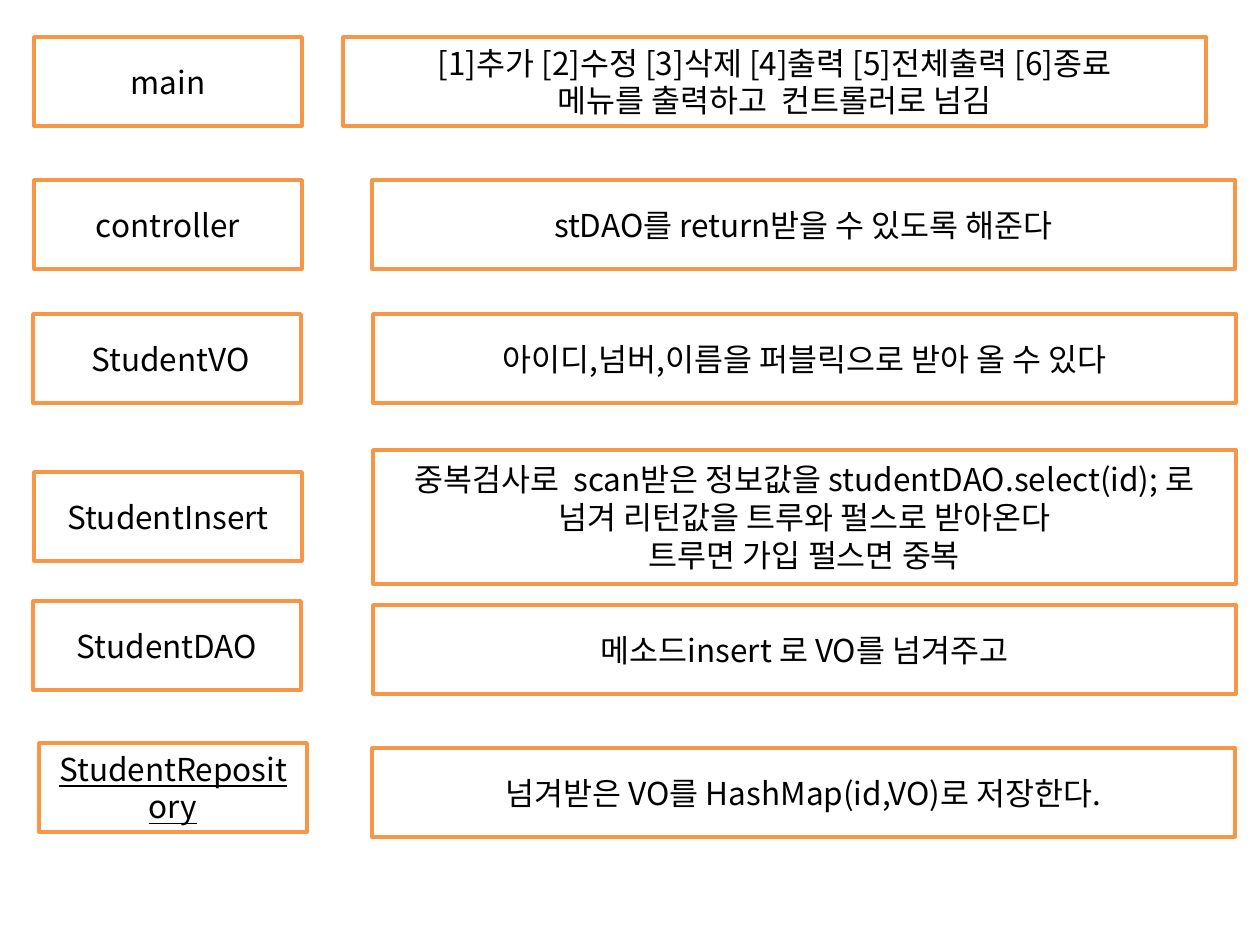
from lxml import etree
from pptx import Presentation
from pptx import util as u
from pptx.dml.color import RGBColor
from pptx.enum import shapes, text
from pptx.oxml import ns

ORANGE = RGBColor(0xF7, 0x96, 0x46)
WHITE = RGBColor(0xFF, 0xFF, 0xFF)
BLACK = RGBColor(0x00, 0x00, 0x00)
PX = u.Inches(1) / 126

NAME_W, NOTE_W, BOX_H = 268, 863, 89

# name, (left, top), underlined, description, (left, top), height
ROWS = [
    ("main", (34, 37), False,
     "[1]추가 [2]수정 [3]삭제 [4]출력 [5]전체출력 [6]종료\n"
     "메뉴를 출력하고  컨트롤러로 넘김", (343, 37), BOX_H),
    ("controller", (34, 180), False,
     "stDAO를 return받을 수 있도록 해준다", (372, 180), BOX_H),
    (" StudentVO", (33, 314), False,
     "아이디,넘버,이름을 퍼블릭으로 받아 올 수 있다", (373, 314), BOX_H),
    ("StudentInsert", (34, 472), False,
     "중복검사로  scan받은 정보값을 studentDAO.select(id); 로 "
     "넘겨 리턴값을 트루와 펄스로 받아온다\n"
     "트루면 가입 펄스면 중복", (373, 450), 134),
    ("StudentDAO", (33, 601), False,
     "메소드insert 로 VO를 넘겨주고", (373, 605), BOX_H),
    ("StudentRepository", (39, 743), True,
     "넘겨받은 VO를 HashMap(id,VO)로 저장한다.", (372, 748), BOX_H),
]


def px(n):
    """Turn pixels into EMU."""
    return u.Emu(round(n * PX))


class Diagram:
    """Holds the box style and the current slide."""

    font = "Noto Sans CJK KR"
    size = u.Pt(18)
    line_width = u.Pt(2)

    def __init__(self, s):
        """Keep the slide to draw on."""
        self.s = s

    def box(self, words, at, width, height, underline=False):
        """Add an outlined box with centred text."""
        sp = self.s.shapes.add_shape(shapes.MSO_SHAPE.RECTANGLE,
                                     *map(px, (*at, width, height)))
        sp.shadow.inherit = False
        sp.fill.solid()
        sp.fill.fore_color.rgb = WHITE
        sp.line.color.rgb = ORANGE
        sp.line.width = self.line_width
        tf = sp.text_frame
        tf.word_wrap = True
        tf.vertical_anchor = text.MSO_ANCHOR.MIDDLE
        tf.text = words
        for p in tf.paragraphs:
            p.alignment = text.PP_ALIGN.CENTER
            for r in p.runs:
                self.format_run(r, underline)

    def format_run(self, r, underline):
        """Apply the font to Latin and Korean text alike."""
        r.font.name = self.font
        r.font.size = self.size
        r.font.color.rgb = BLACK
        if underline:
            r.font.underline = True
        latin = r.font._element.find(ns.qn("a:latin"))
        ea = etree.Element(ns.qn("a:ea"), typeface=self.font)
        latin.addnext(ea)


def main():
    """Build the class overview slide."""
    prs = Presentation()
    prs.slide_width, prs.slide_height = u.Inches(10), u.Inches(7.5)
    diagram = Diagram(prs.slides.add_slide(prs.slide_layouts[6]))
    for name, name_at, underline, note, note_at, note_h in ROWS:
        diagram.box(note, note_at, NOTE_W, note_h)
        diagram.box(name, name_at, NAME_W, BOX_H, underline)
    prs.save("out.pptx")


main()
